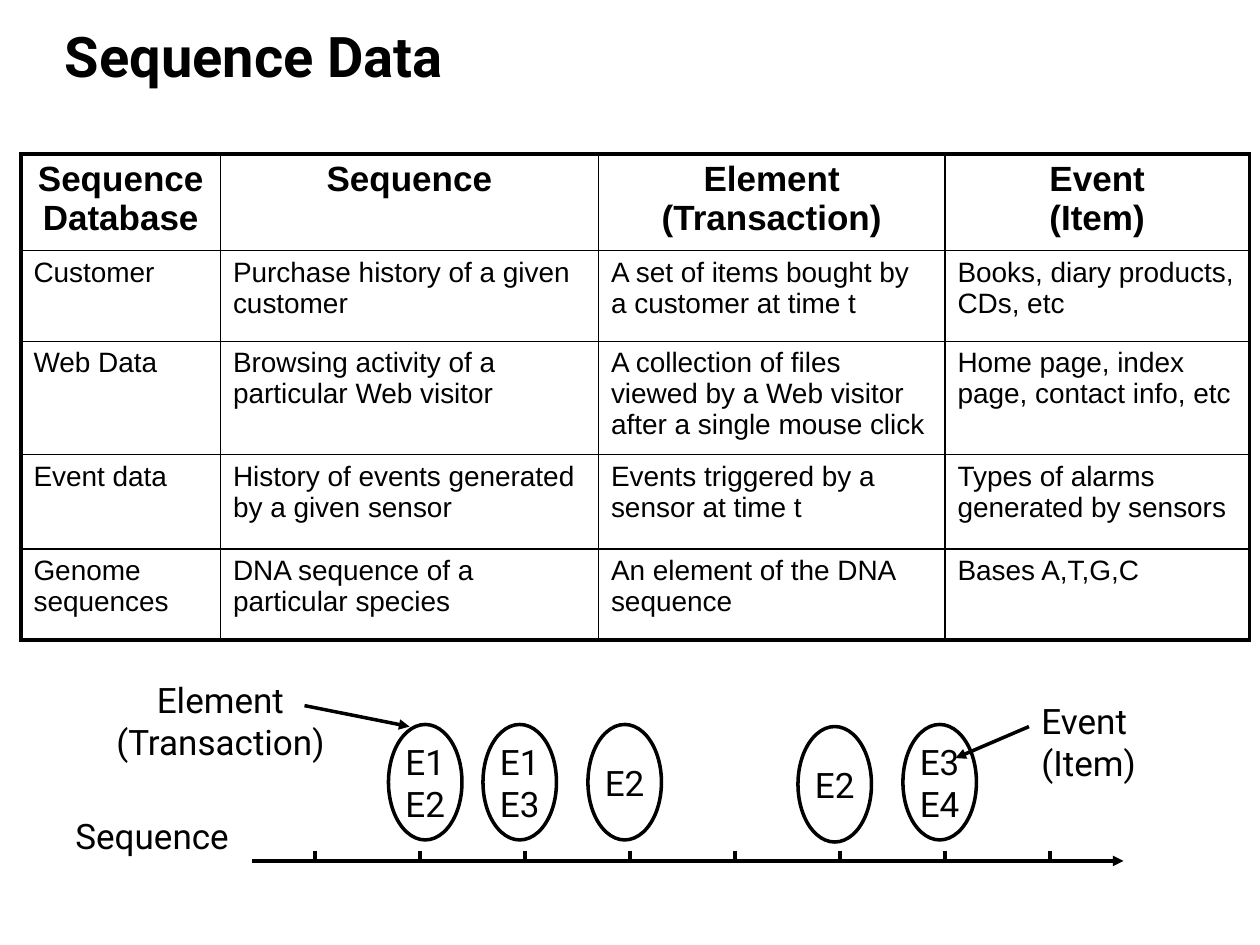
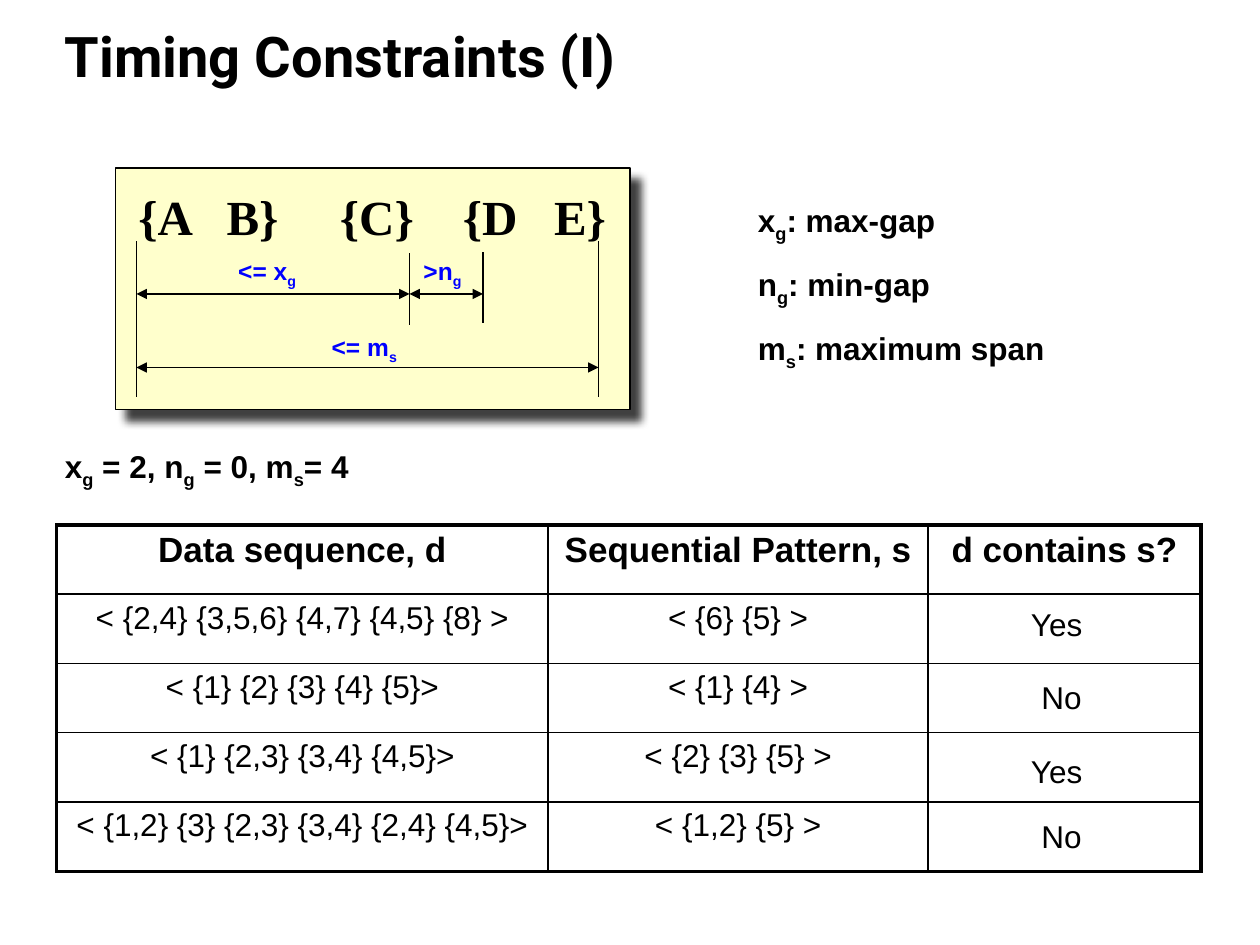
"""Build two slides on sequence data and timing constraints."""
from dataclasses import dataclass
from itertools import product

from lxml.etree import SubElement
from pptx import Presentation
from pptx.dml.color import RGBColor
from pptx.enum.shapes import MSO_CONNECTOR, MSO_SHAPE
from pptx.enum.text import MSO_ANCHOR, PP_ALIGN
from pptx.oxml.ns import qn
from pptx.util import Inches, Pt

MID, LEFT = PP_ALIGN.CENTER, PP_ALIGN.LEFT


@dataclass
class Theme:
    """Hold the colours, line widths and type styles."""
    ink: str = "000000"
    blue: str = "0000FF"
    cream: str = "FFFFCC"
    thin: float = 0.75
    rule: float = 1
    bold: float = 2
    edge: float = 2.25

    def font(self, kind):
        """Return the font values and the colour of a style."""
        name, size, bold, tint = {
            "title": ("Roboto", 32, True, self.ink),
            "label": ("Roboto", 20, False, self.ink),
            "head": ("Arial", 20, True, self.ink),
            "cell": ("Arial", 16, False, self.ink),
            "value": ("Arial", 18, False, self.ink),
            "term": ("Arial", 18, True, self.ink),
            "note": ("Arial", 14, True, self.blue),
            "set": ("Times New Roman", 28, True, self.ink),
        }[kind]
        return dict(name=name, size=Pt(size), bold=bold), RGBColor.from_string(tint)


def put(item, **values):
    """Set each value on the item."""
    for key, value in values.items():
        setattr(item, key, value)


def unit(count):
    """Turn grid steps of a twelfth of an inch into a length."""
    return Inches(count / 12)


class Deck:
    """Draw styled elements on the current slide, on a grid of 120 by 90."""

    def __init__(self, theme):
        """Start an empty file."""
        self.theme = theme
        self.show = Presentation()
        put(self.show, slide_width=unit(120), slide_height=unit(90))

    def start(self, title):
        """Add a slide with its title."""
        self.page = self.show.slides.add_slide(self.show.slide_layouts[6])
        box = self.text((5, 2, 108.7, 7), title, "title")
        box.text_frame.vertical_anchor = MSO_ANCHOR.BOTTOM
        box.text_frame.paragraphs[0].line_spacing = Pt(36)

    def say(self, part, words, kind, **layout):
        """Fill a paragraph, with subscripts between underscores."""
        put(part, **layout)
        values, tint = self.theme.font(kind)
        for row, line in enumerate(words.split("\n")):
            if row:
                part.add_line_break()
            for turn, piece in enumerate(line.split("_")):
                if not piece:
                    continue
                run = part.add_run()
                run.text = piece
                put(run.font, **values)
                run.font.color.rgb = tint
                if turn % 2:
                    run._r.get_or_add_rPr().set("baseline", "-25000")

    def text(self, area, words, kind, align=LEFT):
        """Add a text box that wraps."""
        box = self.page.shapes.add_textbox(*map(unit, area))
        box.text_frame.word_wrap = True
        self.say(box.text_frame.paragraphs[0], words, kind, alignment=align)
        return box

    def list(self, area, lines, kind):
        """Add a text box with spaced lines."""
        frame = self.text(area, lines[0], kind).text_frame
        frame.paragraphs[0].space_after = Pt(10)
        for line in lines[1:]:
            self.say(frame.add_paragraph(), line, kind,
                     space_before=Pt(2), space_after=Pt(10))

    def shape(self, form, area, fill=None, width=None):
        """Add a flat shape."""
        item = self.page.shapes.add_shape(form, *map(unit, area))
        if fill:
            item.fill.solid()
            item.fill.fore_color.rgb = RGBColor.from_string(fill)
        else:
            item.fill.background()
        if width:
            self.ink(item, width)
        else:
            item.line.fill.background()
        item.shadow.inherit = False
        return item

    def ink(self, item, width):
        """Give an item a line in the ink colour."""
        item.line.color.rgb = RGBColor.from_string(self.theme.ink)
        item.line.width = Pt(width)

    def label(self, form, area, words, kind, **look):
        """Add a shape with centred text."""
        item = self.shape(form, area, **look)
        put(item.text_frame, word_wrap=False, vertical_anchor=MSO_ANCHOR.MIDDLE)
        self.say(item.text_frame.paragraphs[0], words, kind, alignment=MID)

    def panel(self, area):
        """Add a cream panel with a soft shadow."""
        item = self.shape(MSO_SHAPE.RECTANGLE, area, self.theme.cream, self.theme.thin)
        cast = SubElement(item._element.spPr.find(qn("a:effectLst")), qn("a:outerShdw"),
                          blurRad=str(Pt(5)), dist=str(Pt(8.5)), dir="2700000",
                          algn="ctr", rotWithShape="0")
        tint = SubElement(cast, qn("a:srgbClr"), val=self.theme.ink)
        SubElement(tint, qn("a:alpha"), val="75000")

    def tabs(self, area, words, kind, stops):
        """Add a line of text set on tab stops."""
        part = self.text(area, words, kind).text_frame.paragraphs[0]
        group = SubElement(part._p.get_or_add_pPr(), qn("a:tabLst"))
        for stop in stops:
            SubElement(group, qn("a:tab"), pos=str(unit(stop)), algn="l")

    def line(self, ends, width, tips=()):
        """Add a straight line with arrow tips."""
        item = self.page.shapes.add_connector(MSO_CONNECTOR.STRAIGHT, *map(unit, ends))
        self.ink(item, width)
        props = item._element.spPr
        for tip in tips:
            SubElement(props.find(qn("a:ln")), qn(f"a:{tip}End"), type="triangle")
        SubElement(props, qn("a:effectLst"))

    def border(self, cell, sides):
        """Draw the four sides of a cell."""
        props = cell._tc.get_or_add_tcPr()
        for spot, (side, outer) in enumerate(sides.items()):
            width = self.theme.edge if outer else self.theme.rule
            edge = SubElement(props, qn(f"a:ln{side}"), w=str(Pt(width)))
            fill = SubElement(edge, qn("a:solidFill"))
            SubElement(fill, qn("a:srgbClr"), val=self.theme.ink)
            props.insert(spot, edge)

    def table(self, spot, wide, high, rows, kind, align):
        """Add a ruled table with a bold header and a heavy frame."""
        size = len(high), len(wide)
        area = *spot, sum(wide), sum(high)
        grid = self.page.shapes.add_table(*size, *map(unit, area)).table
        put(grid, first_row=False, horz_banding=False)
        for col, step in zip(grid.columns, wide):
            col.width = unit(step)
        for row, step in zip(grid.rows, high):
            row.height = unit(step)
        for y, x in product(*map(range, size)):
            cell = grid.cell(y, x)
            cell.fill.background()
            self.border(cell, dict(L=x == 0, R=x == size[1] - 1,
                                   T=y == 0, B=y == size[0] - 1))
            self.say(cell.text_frame.paragraphs[0], rows[y][x],
                     kind if y else "head", alignment=align if y else MID,
                     space_after=Pt(4))


def data(deck):
    """Draw the slide on sequence data."""
    bold = deck.theme.bold
    deck.start("Sequence Data")
    deck.table((2, 14.65), (19, 36, 33, 29), (9.2, 8.65, 10.8, 9, 8.65), [
        ("Sequence Database", "Sequence", "Element (Transaction)", "Event\n(Item)"),
        ("Customer", "Purchase history of a given customer",
         "A set of items bought by a customer at time t",
         "Books, diary products, CDs, etc"),
        ("Web Data", "Browsing activity of a particular Web visitor",
         "A collection of files viewed by a Web visitor after a single mouse click",
         "Home page, index page, contact info, etc"),
        ("Event data", "History of events generated by a given sensor",
         "Events triggered by a sensor at time t",
         "Types of alarms generated by sensors"),
        ("Genome sequences", "DNA sequence of a particular species",
         "An element of the DNA sequence", "Bases A,T,G,C"),
    ], "cell", LEFT)
    deck.line((24, 82, 107, 82), bold, ["tail"])
    for x in range(30, 101, 10):
        deck.line((x, 81, x, 82), bold)
    for x, y, words in ((37, 69, "E1\nE2"), (46, 69, "E1\nE3"), (56, 69, "E2"),
                        (76, 69.2, "E2"), (86, 69, "E3\nE4")):
        deck.label(MSO_SHAPE.OVAL, (x, y, 7, 11), words, "label", width=bold)
    deck.text((6, 77, 20, 5.2), "Sequence", "label")
    deck.text((9, 64, 24, 9.2), "Element (Transaction)", "label", MID)
    deck.text((98, 66, 13, 9.2), "Event\n(Item)", "label")
    for ends in ((29, 67.2, 39, 69.2), (98, 69.2, 91, 72.2)):
        deck.line(ends, bold, ["tail"])


def timing(deck):
    """Draw the slide on timing constraints."""
    thin = deck.theme.thin
    deck.start("Timing Constraints (I)")
    deck.panel((11, 16, 49, 23))
    deck.tabs((12, 17.2, 47.3, 6.8), "{A\tB}\t{C}\t{D\tE}", "set",
              (8.4, 19.2, 30.9, 39.6))
    for area, words in (((30.4, 31.2, 8.6, 4), "<= m_s_"),
                        ((21.5, 24, 7.9, 4), "<= x_g_"),
                        ((38.8, 24, 6.7, 4), ">n_g_")):
        deck.label(MSO_SHAPE.RECTANGLE, area, words, "note", fill=deck.theme.cream)
    for left, right, y in ((13, 57, 35), (13, 39, 28), (39, 46, 28)):
        deck.line((left, y, right, y), thin, ["head", "tail"])
    for x, top, base in ((13, 23, 37.8), (57, 23, 37.8), (39, 24.1, 31), (46, 24, 30.8)):
        deck.line((x, top, x, base), thin)
    deck.list((71, 18.6, 41, 16.3),
              ("x_g_: max-gap", "n_g_: min-gap", "m_s_: maximum span"), "term")
    deck.text((5, 42, 103, 4.8), "x_g_ = 2, n_g_ = 0, m_s_= 4", "term")
    deck.table((5.4, 50), (46.8, 36.2, 26), [6.6] * 5, [
        ("Data sequence, d", "Sequential Pattern, s", "d contains s?"),
        ("< {2,4} {3,5,6} {4,7} {4,5} {8} >", "< {6} {5} >", ""),
        ("< {1} {2} {3} {4} {5}>", "< {1} {4} >", ""),
        ("< {1} {2,3} {3,4} {4,5}>", "< {2} {3} {5} >", ""),
        ("< {1,2} {3} {2,3} {3,4} {2,4} {4,5}>", "< {1,2} {5} >", ""),
    ], "value", MID)
    for x, y, words in ((97, 57, "Yes"), (98, 64, "No"), (97, 71, "Yes"), (98, 77.2, "No")):
        deck.text((x, y, 10, 4.8), words, "value")


def main():
    """Build both slides and save them."""
    deck = Deck(Theme())
    data(deck)
    timing(deck)
    deck.show.save("out.pptx")


if __name__ == "__main__":
    main()
